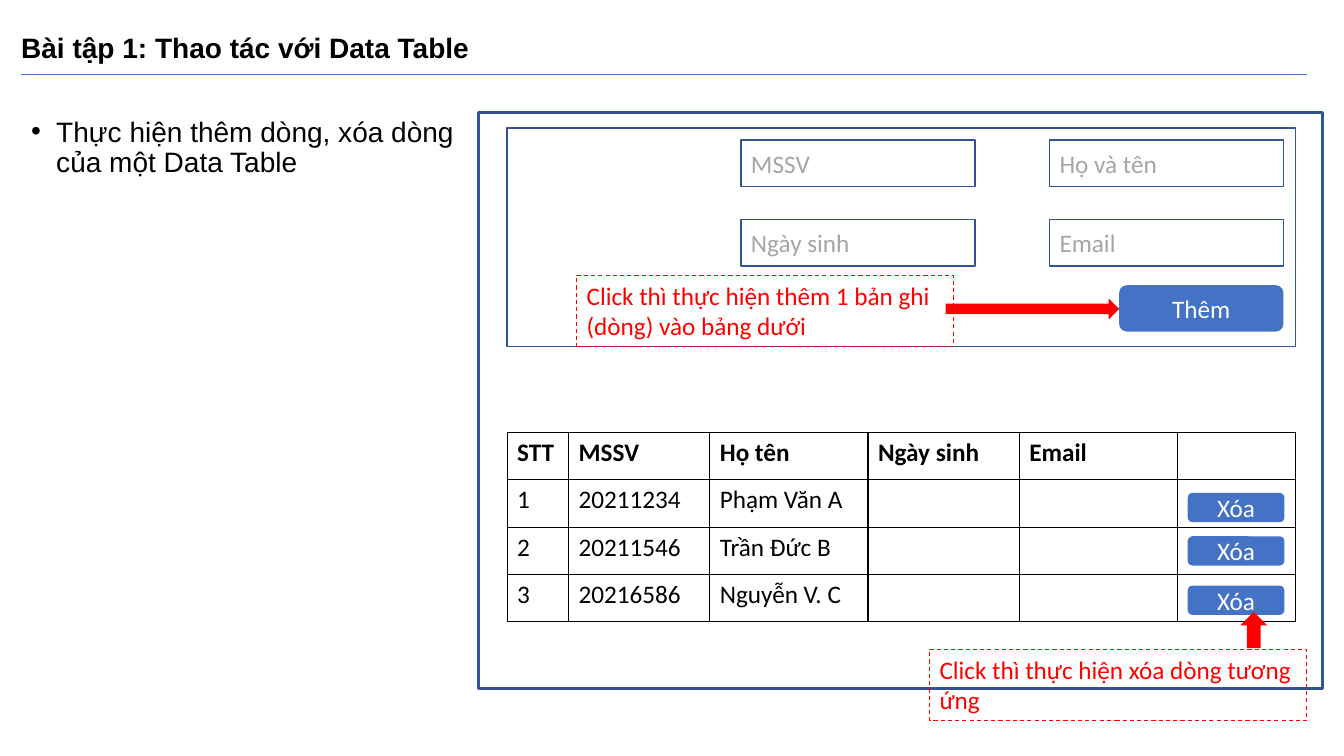
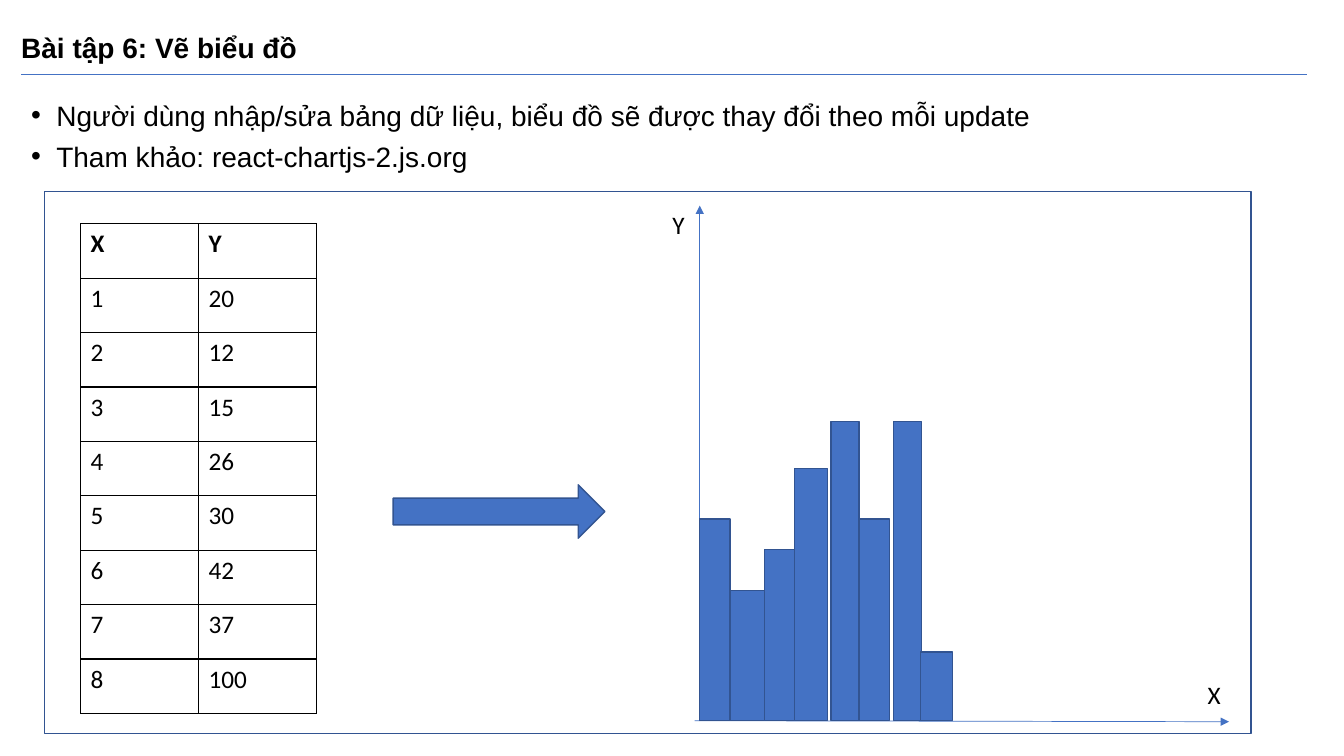
from lxml.etree import SubElement
from pptx import Presentation
from pptx.dml.color import RGBColor
from pptx.enum.dml import MSO_LINE
from pptx.enum.shapes import MSO_CONNECTOR, MSO_SHAPE as SHAPE
from pptx.enum.text import MSO_ANCHOR as ANCHOR, MSO_AUTO_SIZE as AUTO_SIZE, PP_ALIGN as ALIGN
from pptx.oxml.ns import qn
from pptx.util import Inches, Pt

COLORS = {
    "black": "000000",
    "white": "FFFFFF",
    "blue": "4472C4",
    "outline": "325491",
    "hint": "A6A6A6",
    "red": "FF0000",
}
HEADING_FONT, BODY_FONT = "Arial", "Calibri"
TITLE_ONLY = 5


def rgb(name):
    return RGBColor.from_string(COLORS[name])


def inches(*lengths):
    return [Inches(length) for length in lengths]


class Deck:
    def __init__(self):
        self.prs = Presentation()
        self.prs.slide_width, self.prs.slide_height = inches(13.33, 7.5)
        self.slide = None

    def new_slide(self, heading):
        self.slide = self.prs.slides.add_slide(self.prs.slide_layouts[TITLE_ONLY])
        title = self.slide.shapes.title
        title.left, title.top, title.width, title.height = inches(0.11, 0.23, 12.31, 0.52)
        frame = title.text_frame
        frame.auto_size = AUTO_SIZE.NONE
        frame.vertical_anchor = ANCHOR.MIDDLE
        paragraph = frame.paragraphs[0]
        paragraph.alignment = ALIGN.LEFT
        paragraph.line_spacing = 0.9
        self.run(paragraph, heading, size=20, font=HEADING_FONT, bold=True)
        self.line((0.21, 0.74), (12.96, 0.74))

    def run(self, paragraph, text, color="black", size=18, font=BODY_FONT, bold=False):
        run = paragraph.add_run()
        run.text = text
        run.font.name = font
        run.font.size = Pt(size)
        run.font.bold = bold
        run.font.color.rgb = rgb(color)

    def line(self, start, end, arrow=False):
        line = self.slide.shapes.add_connector(MSO_CONNECTOR.STRAIGHT, *inches(*start, *end))
        line.line.color.rgb = rgb("blue")
        line.line.width = Pt(0.5)
        properties = line._element.spPr
        SubElement(properties, qn("a:effectLst"))
        if arrow:
            SubElement(properties.find(qn("a:ln")), qn("a:tailEnd"), type="triangle")

    def shape(self, box, kind=SHAPE.RECTANGLE, fill=None, outline=None, width=1):
        shape = self.slide.shapes.add_shape(kind, *inches(*box))
        shape.shadow.inherit = False
        if fill:
            shape.fill.solid()
            shape.fill.fore_color.rgb = rgb(fill)
        else:
            shape.fill.background()
        if outline:
            shape.line.color.rgb = rgb(outline)
            shape.line.width = Pt(width)
        else:
            shape.line.fill.background()
        return shape

    def label(self, shape, text, color, align=ALIGN.LEFT, anchor=ANCHOR.MIDDLE):
        frame = shape.text_frame
        frame.word_wrap = True
        frame.vertical_anchor = anchor
        paragraph = frame.paragraphs[0]
        paragraph.alignment = align
        self.run(paragraph, text, color)

    def input_field(self, left, top, hint):
        field = self.shape((left, top, 2.32, 0.46), outline="outline")
        self.label(field, hint, "hint")

    def button(self, box, caption):
        button = self.shape(box, SHAPE.ROUNDED_RECTANGLE, fill="blue")
        self.label(button, caption, "white", align=ALIGN.CENTER)

    def callout(self, left, top, text):
        callout = self.shape((left, top, 3.74, 0.71), outline="red", width=0.75)
        callout.line.dash_style = MSO_LINE.DASH
        self.label(callout, text, "red", anchor=ANCHOR.TOP)

    def text_box(self, box):
        frame = self.slide.shapes.add_textbox(*inches(*box)).text_frame
        frame.word_wrap = True
        return frame

    def axis_name(self, left, top, name):
        self.run(self.text_box((left, top, 0.36, 0.4)).paragraphs[0], name)

    def bullets(self, box, items, spacing):
        frame = self.text_box(box)
        for index, item in enumerate(items):
            paragraph = frame.add_paragraph() if index else frame.paragraphs[0]
            paragraph.line_spacing = spacing
            paragraph.space_before = Pt(10)
            properties = paragraph._p.get_or_add_pPr()
            properties.set("marL", str(Inches(0.25)))
            properties.set("indent", str(Inches(-0.25)))
            SubElement(properties, qn("a:buFont"), typeface="Arial")
            SubElement(properties, qn("a:buChar"), char="•")
            self.run(paragraph, item, size=20, font=HEADING_FONT)

    def table(self, left, top, widths, row_height, rows):
        """Draw a plain grid whose first row is bold; short rows end in empty cells."""
        size = inches(sum(widths), row_height * len(rows))
        table = self.slide.shapes.add_table(
            len(rows), len(widths), *inches(left, top), *size).table
        table.first_row = table.horz_banding = False
        for column, width in zip(table.columns, widths):
            column.width = Inches(width)
        for r, values in enumerate(rows):
            table.rows[r].height = Inches(row_height)
            for c in range(len(widths)):
                cell = table.cell(r, c)
                self.cell_borders(cell)
                cell.fill.background()
                if c < len(values):
                    self.run(cell.text_frame.paragraphs[0], values[c], bold=r == 0)

    def cell_borders(self, cell):
        properties = cell._tc.get_or_add_tcPr()
        for side in ("lnL", "lnR", "lnT", "lnB"):
            border = SubElement(properties, qn(f"a:{side}"), w=str(Pt(1)))
            fill = SubElement(border, qn("a:solidFill"))
            SubElement(fill, qn("a:srgbClr"), val=COLORS["black"])


def data_table_slide(deck):
    deck.new_slide("Bài tập 1: Thao tác với Data Table")
    deck.bullets((0.21, 1.12, 4.86, 4.73),
                 ["Thực hiện thêm dòng, xóa dòng của một Data Table"], 0.9)
    deck.shape((4.75, 1.12, 8.37, 5.71), outline="outline", width=2)
    deck.table(5.03, 4.29, [0.61, 1.4, 1.57, 1.5, 1.57, 1.17], 0.47, [
        ["STT", "MSSV", "Họ tên", "Ngày sinh", "Email"],
        ["1", "20211234", "Phạm Văn A"],
        ["2", "20211546", "Trần Đức B"],
        ["3", "20216586", "Nguyễn V. C"],
    ])
    deck.shape((5.03, 1.27, 7.82, 2.17), outline="outline")
    for top, hints in ((1.39, ("MSSV", "Họ và tên")), (2.18, ("Ngày sinh", "Email"))):
        for left, hint in zip((7.35, 10.41), hints):
            deck.input_field(left, top, hint)
    deck.button((11.1, 2.83, 1.63, 0.46), "Thêm")
    for top in (4.89, 5.32, 5.81):
        deck.button((11.78, top, 0.96, 0.29), "Xóa")
    deck.callout(5.72, 2.73, "Click thì thực hiện thêm 1 bản ghi (dòng) vào bảng dưới")
    deck.shape((9.38, 2.96, 1.72, 0.21), SHAPE.RIGHT_ARROW, fill="red")
    deck.callout(9.22, 6.44, "Click thì thực hiện xóa dòng tương ứng")
    deck.shape((12.3, 6.07, 0.27, 0.36), SHAPE.UP_ARROW, fill="red")


def chart_slide(deck):
    deck.new_slide("Bài tập 6: Vẽ biểu đồ")
    deck.bullets((0.21, 0.99, 12.38, 0.79), [
        "Người dùng nhập/sửa bảng dữ liệu, biểu đồ sẽ được thay đổi theo mỗi update",
        "Tham khảo: react-chartjs-2.js.org",
    ], 0.8)
    deck.shape((0.44, 1.9, 11.97, 5.38), outline="outline")
    y_values = (20, 12, 15, 26, 30, 42, 37, 100)
    points = [[str(x), str(y)] for x, y in enumerate(y_values, start=1)]
    deck.table(0.8, 2.22, [1.17, 1.17], 0.54, [["X", "Y"]] + points)
    deck.shape((3.9, 4.81, 2.1, 0.53), SHAPE.RIGHT_ARROW, fill="blue", outline="outline")

    baseline = 7.15
    deck.line((6.94, baseline), (6.94, 2.04), arrow=True)
    deck.line((6.89, baseline), (12.19, 7.16), arrow=True)
    bars = [(6.94, 0.3, 5.15), (7.24, 0.34, 5.86), (7.58, 0.3, 5.45), (7.88, 0.33, 4.65),
            (8.24, 0.28, 4.18), (8.52, 0.3, 5.15), (8.86, 0.28, 4.18), (9.13, 0.32, 6.47)]
    for left, width, top in bars:
        deck.shape((left, top, width, baseline - top), fill="blue", outline="outline")
    deck.axis_name(6.57, 2.03, "Y")
    deck.axis_name(11.88, 6.69, "X")


def main():
    deck = Deck()
    data_table_slide(deck)
    chart_slide(deck)
    deck.prs.save("out.pptx")


if __name__ == "__main__":
    main()
